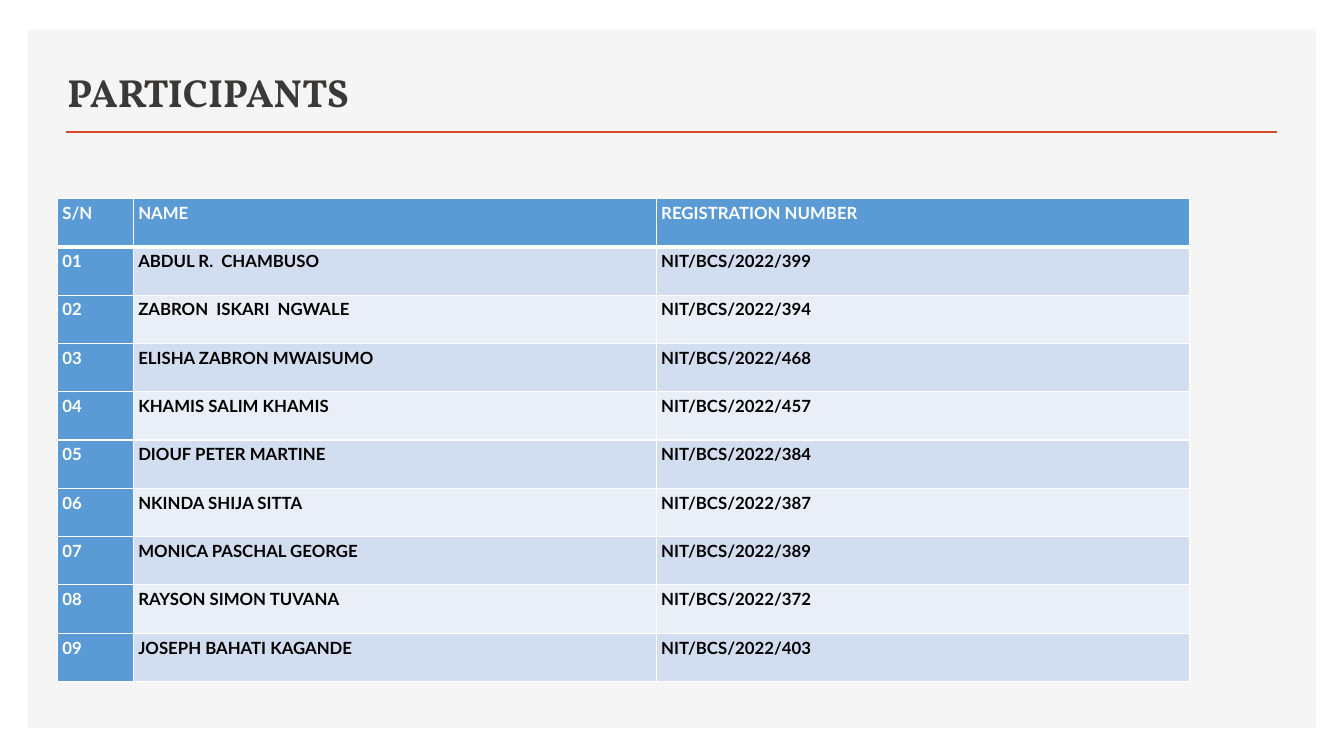
"""Build the participants slide with its title and registration table."""
import lxml.etree
import pptx
import pptx.dml.color
import pptx.enum.shapes
import pptx.enum.text
import pptx.oxml
import pptx.oxml.ns
import pptx.util

Pt = pptx.util.Pt
RGBColor = pptx.dml.color.RGBColor
qn = pptx.oxml.ns.qn

WHITE = RGBColor(0xFF, 0xFF, 0xFF)
BLACK = RGBColor(0, 0, 0)
PANEL_GREY = RGBColor(0xF5, 0xF5, 0xF5)
TITLE_GREY = RGBColor(0x3B, 0x38, 0x38)
RULE_ORANGE = RGBColor(0xD2, 0x47, 0x26)
HEADER_BLUE = RGBColor(0x5B, 0x9B, 0xD5)
BANDS = RGBColor(0xEA, 0xEF, 0xF7), RGBColor(0xD2, 0xDE, 0xEF)

HEADINGS = "S/N", "NAME", "REGISTRATION NUMBER"
PARTICIPANTS = [
    ("ABDUL R.  CHAMBUSO", 399),
    ("ZABRON  ISKARI  NGWALE", 394),
    ("ELISHA ZABRON MWAISUMO", 468),
    ("KHAMIS SALIM KHAMIS", 457),
    ("DIOUF PETER MARTINE", 384),
    ("NKINDA SHIJA SITTA", 387),
    ("MONICA PASCHAL GEORGE", 389),
    ("RAYSON SIMON TUVANA", 372),
    ("JOSEPH BAHATI KAGANDE", 403),
]


def add_text(paragraph, wording, font_name, size, color):
    run = paragraph.add_run()
    run.text = wording
    run.font.name = font_name
    run.font.size = Pt(size)
    run.font.bold = True
    run.font.color.rgb = color


def add_panel(slide, left, top, width, height):
    panel = slide.shapes.add_shape(
        pptx.enum.shapes.MSO_SHAPE.RECTANGLE, Pt(left), Pt(top), Pt(width), Pt(height))
    panel.shadow.inherit = False
    panel.fill.solid()
    panel.fill.fore_color.rgb = PANEL_GREY
    panel.line.fill.background()


def add_heading(slide, left, top, width, height):
    rule_left, rule_y = left + 6.5, top + height + 8.6
    rule = slide.shapes.add_connector(
        pptx.enum.shapes.MSO_CONNECTOR.STRAIGHT,
        Pt(rule_left), Pt(rule_y), Pt(rule_left + 864.7), Pt(rule_y))
    rule.line.color.rgb = RULE_ORANGE
    rule.line.width = Pt(2)
    lxml.etree.SubElement(rule._element.spPr, qn("a:effectLst"))

    title = slide.shapes.add_textbox(Pt(left), Pt(top), Pt(width), Pt(height)).text_frame
    title.word_wrap = True
    title.vertical_anchor = pptx.enum.text.MSO_ANCHOR.BOTTOM
    add_text(title.paragraphs[0], "PARTICIPANTS", "Vollkorn", 28, TITLE_GREY)


def add_borders(cell, top, bottom):
    properties = cell._tc.get_or_add_tcPr()
    for side, width in (("L", 1), ("R", 1), ("T", top), ("B", bottom)):
        border = lxml.etree.SubElement(properties, qn(f"a:ln{side}"), w=str(Pt(width)))
        paint = lxml.etree.SubElement(border, qn("a:solidFill"))
        lxml.etree.SubElement(paint, qn("a:srgbClr"), val=str(WHITE))


def fill_cell(cell, wording, row, column):
    add_borders(cell, top=3 if row == 1 else 1, bottom=3 if row == 0 else 1)
    is_heading = row == 0 or column == 0
    cell.fill.solid()
    cell.fill.fore_color.rgb = HEADER_BLUE if is_heading else BANDS[row % 2]
    cell.margin_left, cell.margin_top = Pt(3.6), Pt(2.2)
    cell.margin_right, cell.margin_bottom = Pt(2.2), Pt(0)
    paragraph = cell.text_frame.paragraphs[0]
    paragraph.line_spacing = 1.06
    paragraph.space_after = Pt(10)
    add_text(paragraph, wording, "Lato", 12, WHITE if is_heading else BLACK)


def add_participants(slide, left, top, width, height):
    rows = [HEADINGS] + [
        (f"{number:02}", name, f"NIT/BCS/2022/{registration}")
        for number, (name, registration) in enumerate(PARTICIPANTS, 1)]
    table = slide.shapes.add_table(
        len(rows), len(HEADINGS), Pt(left), Pt(top), Pt(width), Pt(height)).table
    for column, share in zip(table.columns, (0.067, 0.462, 0.471)):
        column.width = Pt(width * share)
    for row, wordings in enumerate(rows):
        table.rows[row].height = Pt(height / len(rows))
        for column, wording in enumerate(wordings):
            fill_cell(table.cell(row, column), wording, row, column)
    table.cell(0, 0).text_frame.paragraphs[0].alignment = pptx.enum.text.PP_ALIGN.JUSTIFY


def main():
    presentation = pptx.Presentation()
    presentation.slide_width, presentation.slide_height = Pt(960), Pt(540)
    slide = presentation.slides.add_slide(presentation.slide_layouts[6])
    add_panel(slide, 20, 21, 920, 499)
    add_heading(slide, 41, 35.3, 541.5, 50.4)
    add_participants(slide, 41, 141.8, 808.6, 345)
    presentation.save("out.pptx")


if __name__ == "__main__":
    main()
